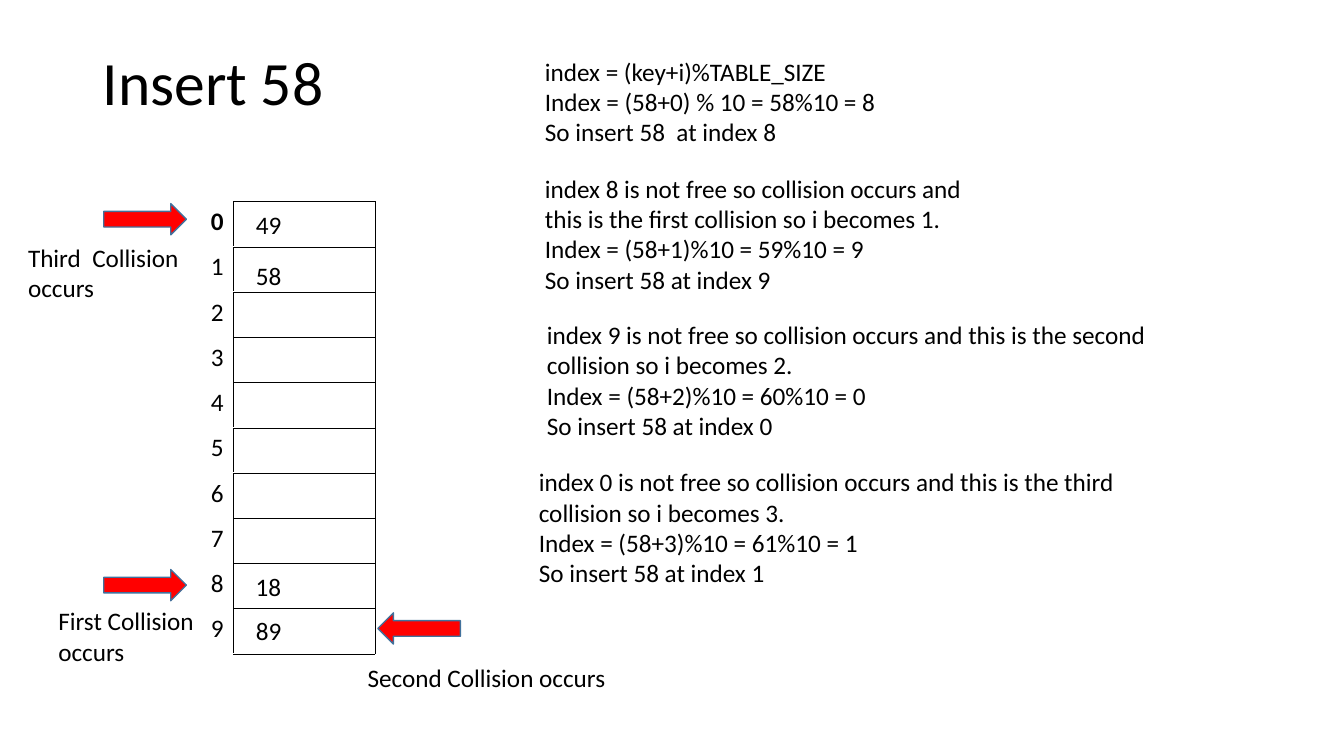
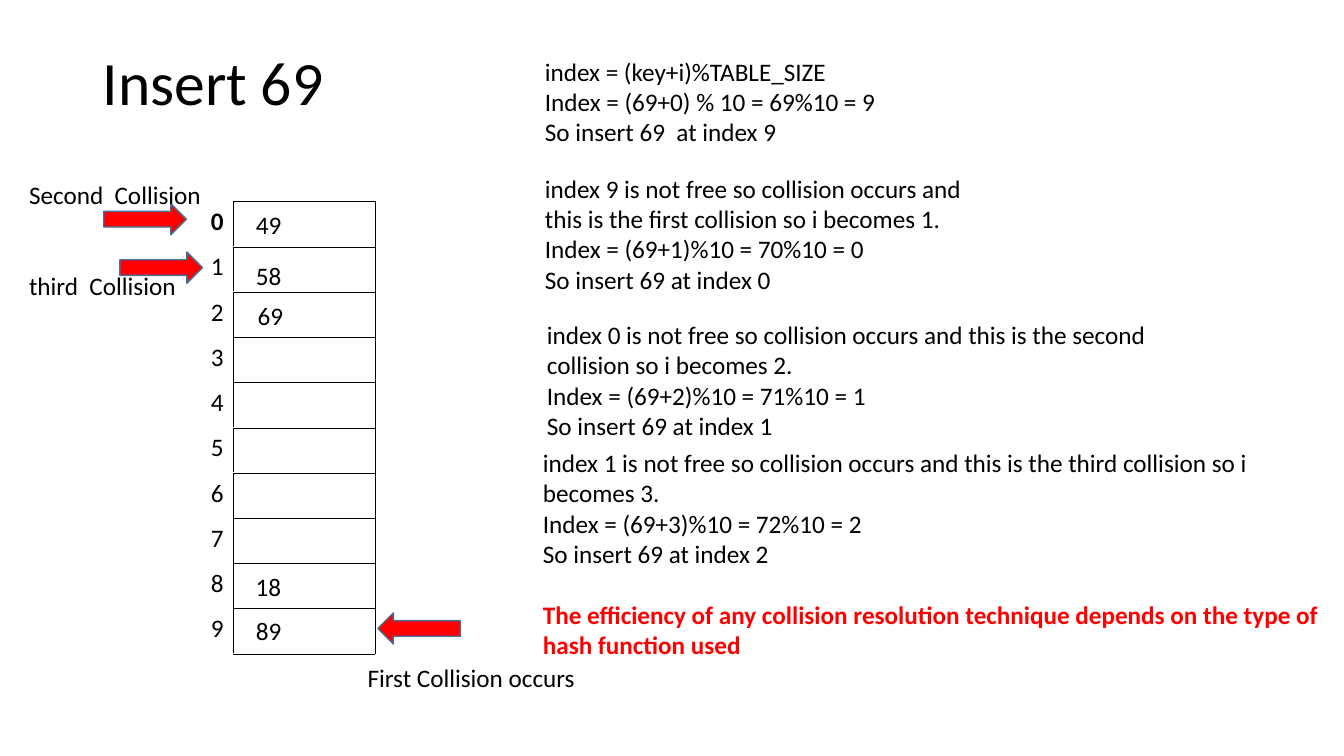
from lxml.etree import SubElement
from pptx import Presentation
from pptx.dml.color import RGBColor
from pptx.enum.shapes import MSO_SHAPE
from pptx.enum.text import MSO_ANCHOR, PP_ALIGN
from pptx.oxml.ns import qn
from pptx.util import Inches, Pt

FONT = "Calibri"
BLACK, WHITE, RED, ARROW_EDGE = "000000", "FFFFFF", "FF0000", "41719C"
TABLE_SIZE = 10
TABLE_HEIGHT = 4.49
ORDINALS = ["", "first", "second", "third"]
CONCLUSION = ("The efficiency of any collision resolution technique depends "
              "on the type of hash function used")


def style(paragraph, size=18, color=BLACK, bold=False):
    font = paragraph.font
    font.name, font.size, font.bold = FONT, Pt(size), bold
    font.color.rgb = RGBColor.from_string(color)


def add_text(slide, left, top, width, height, lines, size=18):
    box = slide.shapes.add_textbox(Inches(left), Inches(top), Inches(width), Inches(height))
    frame = box.text_frame
    frame.word_wrap = True
    frame.text = "\n".join(lines)
    for paragraph in frame.paragraphs:
        style(paragraph, size)
    return frame


# Each step box: left, top, width, height; each label: left, top, width, height, text
first_steps = [(5.31, 0.51, 5.79, 1), (5.31, 1.67, 4.71, 1.3), (5.33, 3.12, 6.67, 1.3)]
stored_keys = [(2.44, 6.06, 0.61, 0.4, "89"), (2.44, 5.62, 0.7, 0.4, "18"),
               (2.44, 2.03, 0.52, 0.4, "49"), (2.44, 2.53, 0.52, 0.4, "58")]
right_arrow, left_arrow = MSO_SHAPE.RIGHT_ARROW, MSO_SHAPE.LEFT_ARROW
slides = [
    {
        "key": 58,
        "steps": first_steps + [(5.25, 4.58, 6.67, 1.3)],
        "arrows": [(right_arrow, 1.03, 5.65), (left_arrow, 3.75, 6.08),
                   (right_arrow, 1.03, 2.02)],
        "labels": [(0.48, 5.96, 1.58, 0.7, "First Collision occurs"),
                   (3.55, 6.52, 2.9, 0.4, "Second Collision occurs"),
                   (0.18, 2.35, 1.86, 0.7, "Third  Collision occurs")],
    },
    {
        "key": 69,
        "steps": first_steps + [(5.29, 4.39, 7.91, 2.2)],
        "arrows": [(left_arrow, 3.75, 6.08), (right_arrow, 1.03, 2.02),
                   (right_arrow, 1.19, 2.5)],
        "labels": [(3.55, 6.52, 2.9, 0.4, "First Collision occurs"),
                   (0.19, 1.73, 2.13, 0.4, "Second  Collision"),
                   (0.19, 2.63, 2.13, 0.4, "third  Collision"),
                   (2.46, 2.93, 0.52, 0.4, "69")],
        "conclusion": CONCLUSION,
    },
]

deck = Presentation()
deck.slide_width, deck.slide_height = Inches(13.34), Inches(7.5)

for content in slides:
    slide = deck.slides.add_slide(deck.slide_layouts[6])
    key = content["key"]

    title = add_text(slide, 0.92, 0.4, 11.5, 0.9, [f"Insert {key}"], 44)
    title.vertical_anchor = MSO_ANCHOR.MIDDLE
    title.paragraphs[0].line_spacing = 0.9

    # Hash table: slot numbers on the left, bordered slots on the right
    table = slide.shapes.add_table(TABLE_SIZE, 2, Inches(0.92), Inches(2),
                                   Inches(2.8), Inches(TABLE_HEIGHT)).table
    table.first_row = table.horz_banding = False
    for index in range(TABLE_SIZE):
        number, slot = table.cell(index, 0), table.cell(index, 1)
        number.text = str(index)
        number.text_frame.paragraphs[0].alignment = PP_ALIGN.RIGHT
        for cell, sides in ((number, ["lnR"]), (slot, ["lnL", "lnR", "lnT", "lnB"])):
            style(cell.text_frame.paragraphs[0], bold=cell is number and index == 0)
            properties = cell._tc.get_or_add_tcPr()
            for side in sides:
                line = SubElement(properties, qn(f"a:{side}"), w=str(Pt(0.45)))
                fill = SubElement(line, qn("a:solidFill"))
                SubElement(fill, qn("a:srgbClr"), val=BLACK)
            cell.fill.solid()
            cell.fill.fore_color.rgb = RGBColor.from_string(WHITE)

    # Linear probing: each step tries the next slot
    for i, place in enumerate(content["steps"]):
        total = key + i
        index = total % TABLE_SIZE
        if i == 0:
            lines = ["index = (key+i)%TABLE_SIZE",
                     f"Index = ({key}+0) % 10 = {total}%10 = {index}",
                     f"So insert {key}  at index {index}"]
        else:
            lines = [f"index {(total - 1) % TABLE_SIZE} is not free so collision occurs and "
                     f"this is the {ORDINALS[i]} collision so i becomes {i}.",
                     f"Index = ({key}+{i})%10 = {total}%10 = {index}",
                     f"So insert {key} at index {index}"]
        frame = add_text(slide, *place, lines)
    if "conclusion" in content:
        paragraph = frame.add_paragraph()
        paragraph.text = content["conclusion"]
        paragraph.space_before = Pt(22)
        style(paragraph, color=RED, bold=True)

    for direction, left, top in content["arrows"]:
        arrow = slide.shapes.add_shape(direction, Inches(left), Inches(top),
                                       Inches(0.82), Inches(0.31))
        arrow.shadow.inherit = False
        arrow.fill.solid()
        arrow.fill.fore_color.rgb = RGBColor.from_string(RED)
        arrow.line.color.rgb = RGBColor.from_string(ARROW_EDGE)
        arrow.line.width = Pt(1)

    for *place, label in stored_keys + content["labels"]:
        add_text(slide, *place, [label])

deck.save("out.pptx")
